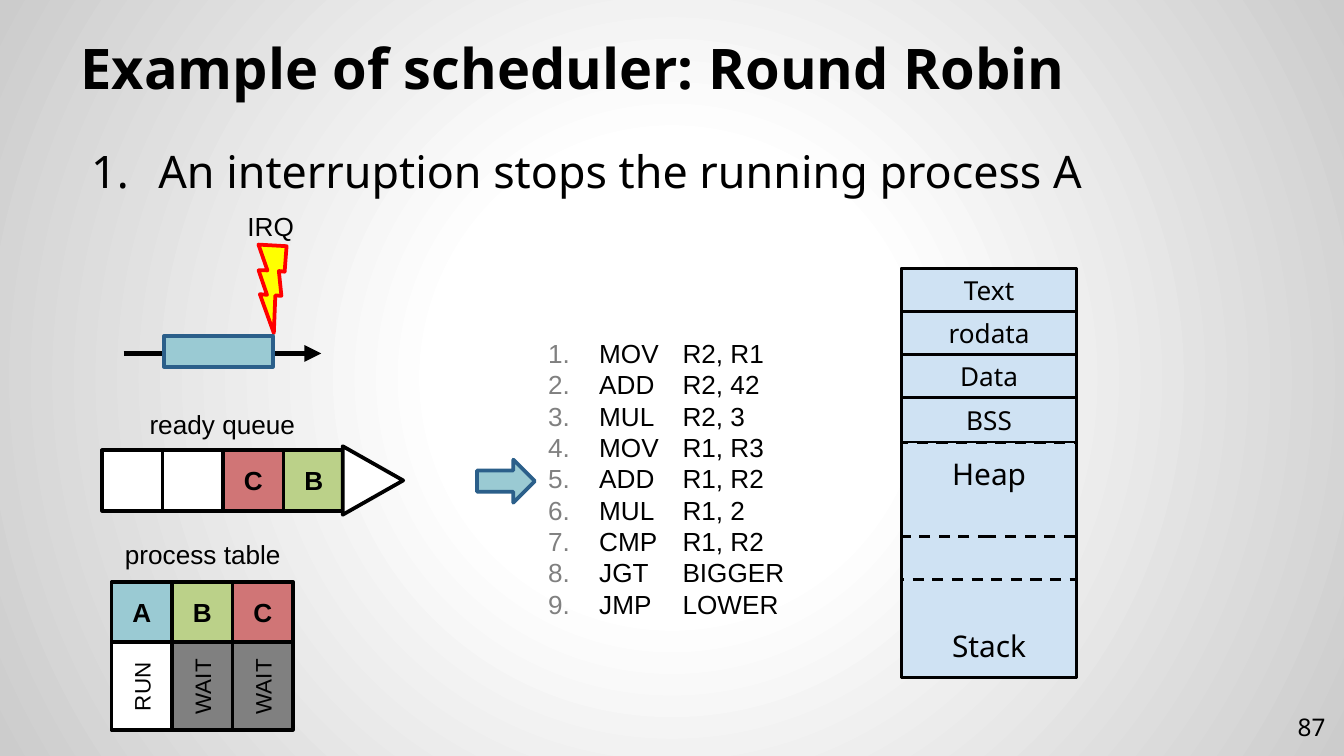
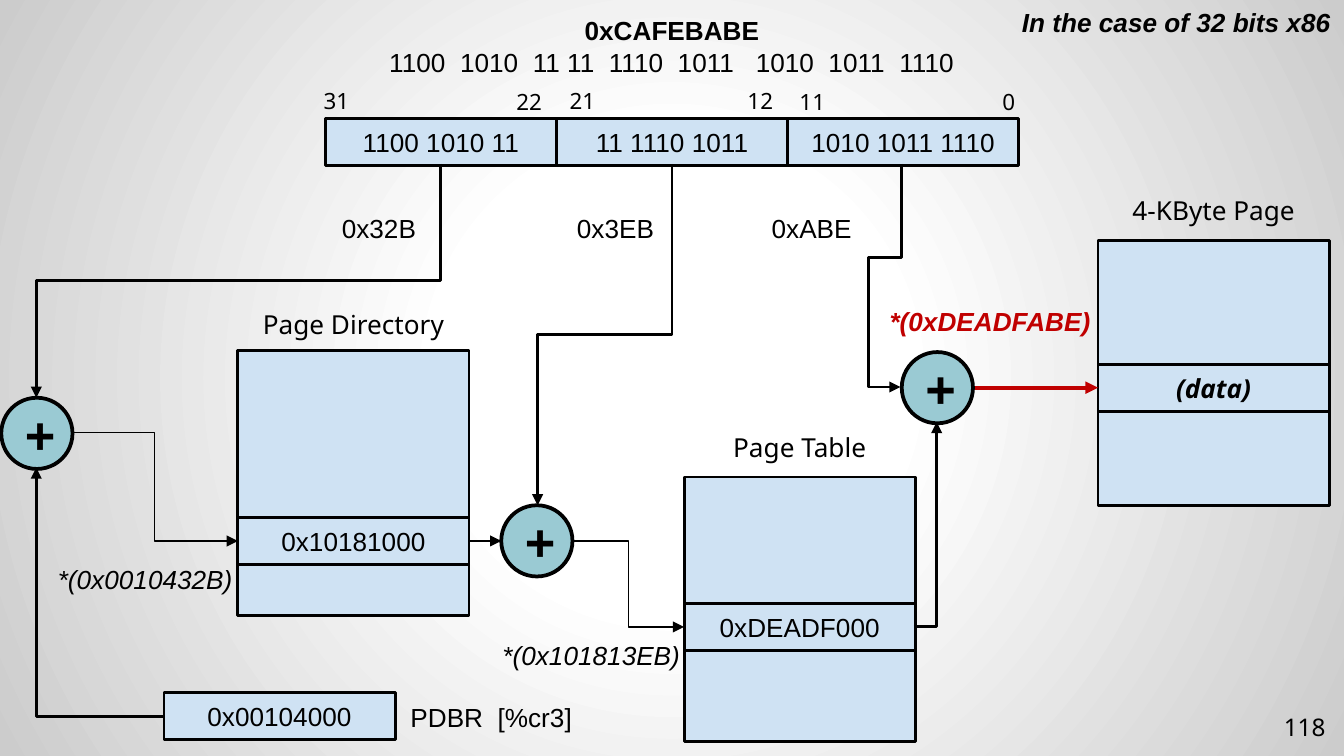
import pptx
import pptx.util
import pptx.oxml
import pptx.oxml.ns
import pptx.dml.color
import pptx.enum.dml
import pptx.enum.shapes
import pptx.enum.text

Inches = pptx.util.Inches
Pt = pptx.util.Pt
RGB = pptx.dml.color.RGBColor
qn = pptx.oxml.ns.qn
SHAPE = pptx.enum.shapes.MSO_SHAPE
CONNECTOR = pptx.enum.shapes.MSO_CONNECTOR
DASH = pptx.enum.dml.MSO_LINE.DASH
ALIGN = pptx.enum.text.PP_ALIGN
ANCHOR = pptx.enum.text.MSO_ANCHOR
GROW = pptx.enum.text.MSO_AUTO_SIZE.SHAPE_TO_FIT_TEXT

# Shared look
BLACK, WHITE = RGB(0, 0, 0), RGB(255, 255, 255)
GREY = RGB(0x80, 0x80, 0x80)
TEAL, TEAL_EDGE = RGB(0x9A, 0xCA, 0xD3), RGB(0x2B, 0x5F, 0x8A)
ROSE, GREEN = RGB(0xD0, 0x75, 0x76), RGB(0xBB, 0xD1, 0x89)
SKY = RGB(0xCF, 0xE2, 0xF3)
YELLOW, RED, DARK_RED = RGB(255, 255, 0), RGB(255, 0, 0), RGB(0xC0, 0, 0)
SANS, NOTO = "Arial", "Noto Sans"
NAMESPACE = pptx.oxml.ns.nsdecls("a")
BACKDROP = [(0, "FFFFFF"), (30000, "FFFFFF"), (100000, "CCCCCC")]
ALIGNS = {"l": ALIGN.LEFT, "c": ALIGN.CENTER, "r": ALIGN.RIGHT}

# Scheduler content
PROCESS_COLOURS = {"A": TEAL, "B": GREEN, "C": ROSE, "": WHITE}
READY_QUEUE = ["", "", "C", "B"]
PROCESS_TABLE = [("A", "RUN", WHITE), ("B", "WAIT", GREY), ("C", "WAIT", GREY)]
PROGRAM = ["MOV\tR2, R1", "ADD\tR2, 42", "MUL\tR2, 3", "MOV\tR1, R3", "ADD\tR1, R2",
           "MUL\tR1, 2", "CMP\tR1, R2", "JGT\tBIGGER", "JMP\tLOWER"]
SEGMENTS = [  # name, top, height, format
    ("Text", 2, 0.32, {}),
    ("rodata", 2.32, 0.32, {}),
    ("Data", 2.64, 0.32, {}),
    ("Heap", 3.29, 0.7, dict(size=16, dash=DASH, anchor=ANCHOR.TOP)),
    ("BSS", 2.96, 0.33, {}),
    ("Stack", 4.31, 0.73, dict(size=16, dash=DASH, anchor=ANCHOR.BOTTOM)),
]
CELL = 0.45

# Paging content
ADDRESS_FIELDS = ["1100 1010 11", "11 1110 1011", "1010 1011 1110"]
BIT_NUMBERS = [("31", 2.31, 0.6, "l"), ("22", 3.61, 0.61, "r"), ("21", 4.14, 0.6, "l"),
               ("12", 5.33, 0.6, "r"), ("11", 5.85, 0.61, "l"), ("0", 7.36, 0.61, "l")]
OFFSETS = [("0x32B", 2.39), ("0x3EB", 4.15), ("0xABE", 5.61)]
BLOCK_W, BLOCK_H, ENTRY_H = 1.72, 1.97, 0.35
BLOCKS = [  # title, title top, left, top, entry, entry top, entry format
    ("Page Directory", 2.21, 1.77, 2.61, "0x10181000", 3.85, {}),
    ("Page Table", 3.12, 5.09, 3.55, "0xDEADF000", 4.49, {}),
    ("4-KByte Page", 1.36, 8.17, 1.79, "(data)", 2.71, dict(font=NOTO, bold=True, italic=True)),
]
ADDERS = [(0.01, 2.96), (3.73, 3.76), (6.71, 2.62)]
ADDER_SIZE = 0.53


def write(shape, text, font=SANS, size=14, color=BLACK, bold=False, italic=False, align="c",
          anchor=ANCHOR.TOP, inset=0.05, indent=None, number_color=None, before=0):
    """Fill a shape with one paragraph per line; bold marks the first line only."""
    frame = shape.text_frame
    frame.word_wrap = True
    frame.vertical_anchor = anchor
    frame.margin_left = frame.margin_right = Inches(0.1)
    frame.margin_top = frame.margin_bottom = Inches(inset)
    for index, line in enumerate(text.split("\n")):
        para = frame.add_paragraph() if index else frame.paragraphs[0]
        para.alignment = ALIGNS[align]
        if before:
            para.space_before = Pt(before)
        span = para.add_run()
        span.text = line
        span.font.name, span.font.size = font, Pt(size)
        span.font.color.rgb = color
        span.font.bold = bold and index == 0
        span.font.italic = italic
        if indent:
            margin, first = indent
            props = para._p.get_or_add_pPr()
            props.set("marL", str(Inches(margin)))
            props.set("indent", str(Inches(first)))
            props.append(pptx.oxml.parse_xml(
                f'<a:buClr {NAMESPACE}><a:srgbClr val="{number_color}"/></a:buClr>'))
            props.append(pptx.oxml.parse_xml(
                f'<a:buAutoNum {NAMESPACE} type="arabicPeriod"/>'))


def label(page, text, x, y, w, h, grow=True, turn=0, **style):
    box = page.shapes.add_textbox(Inches(x), Inches(y), Inches(w), Inches(h))
    write(box, text, **style)
    if grow:
        box.text_frame.auto_size = GROW
    box.rotation = turn


def draw(page, kind, x, y, w, h, fill=None, edge=BLACK, weight=2, dash=None, turn=0,
         text="", **style):
    shape = page.shapes.add_shape(kind, Inches(x), Inches(y), Inches(w), Inches(h))
    shape.shadow.inherit = False
    shape.rotation = turn
    if fill is None:
        shape.fill.background()
    else:
        shape.fill.solid()
        shape.fill.fore_color.rgb = fill
    shape.line.color.rgb = edge
    shape.line.width = Pt(weight)
    if dash:
        shape.line.dash_style = dash
    if text:
        write(shape, text, **{"anchor": ANCHOR.MIDDLE, **style})
    return shape


def memory(page, x, y, w, h, text="", fill=SKY, **style):
    return draw(page, SHAPE.RECTANGLE, x, y, w, h, fill, weight=1.5, text=text, inset=0.1, **style)


def arrow(page, start, end, kind=CONNECTOR.STRAIGHT, color=BLACK, weight=1.5,
          downward=False, preset=None, bends=()):
    """Draw an arrow; a downward elbow leaves its start vertically and ends to the left."""
    (x1, y1), (x2, y2) = start, end
    if downward:
        mid_x, mid_y, half_w, half_h = (x1 + x2) / 2, (y1 + y2) / 2, (y2 - y1) / 2, (x1 - x2) / 2
        x1, y1, x2, y2 = mid_x - half_w, mid_y - half_h, mid_x + half_w, mid_y + half_h
    line = page.shapes.add_connector(kind, Inches(x1), Inches(y1), Inches(x2), Inches(y2))
    if downward:
        line.rotation = 90
    line.line.color.rgb = color
    line.line.width = Pt(weight)
    props = line.element.spPr
    geometry = props.find(qn("a:prstGeom"))
    if preset:
        geometry.set("prst", preset)
    guides = geometry.find(qn("a:avLst"))
    for index, bend in enumerate(bends, 1):
        guides.append(pptx.oxml.parse_xml(
            f'<a:gd {NAMESPACE} name="adj{index}" fmla="val {round(bend * 100000)}"/>'))
    props.find(qn("a:ln")).append(pptx.oxml.parse_xml(f'<a:tailEnd {NAMESPACE} type="triangle"/>'))
    props.append(pptx.oxml.parse_xml(f"<a:effectLst {NAMESPACE}/>"))
    return line


def new_page(deck, number):
    page = deck.slides.add_slide(deck.slide_layouts[6])
    page.background.fill.gradient()
    gradient = page.element.find(".//" + qn("a:gradFill"))
    stops = "".join(f'<a:gs pos="{pos}"><a:srgbClr val="{color}"/></a:gs>'
                    for pos, color in BACKDROP)
    gradient.getparent().replace(gradient, pptx.oxml.parse_xml(
        f'<a:gradFill {NAMESPACE} rotWithShape="1"><a:gsLst>{stops}</a:gsLst><a:path path="circle">'
        '<a:fillToRect l="50000" t="50000" r="50000" b="50000"/></a:path></a:gradFill>'))
    label(page, number, 9.36, 5.19, 0.6, 0.43, grow=False, font=NOTO, size=13, align="r",
          anchor=ANCHOR.MIDDLE, inset=0.1)
    return page


def build_scheduler(deck):
    page = new_page(deck, "87")
    label(page, "Example of scheduler: Round Robin", 0.5, 0.23, 9, 0.62, grow=False, font=NOTO,
          size=30, bold=True, align="l", anchor=ANCHOR.BOTTOM, inset=0.1)
    label(page, "An interruption stops the running process A", 0.5, 0.97, 9, 4.41, grow=False,
          font=NOTO, size=24, align="l", inset=0.1, indent=(0.58, -0.5), number_color=BLACK,
          before=6)

    # Interrupt on the time line
    draw(page, SHAPE.LIGHTNING_BOLT, 1.78, 1.81, 0.46, 0.59, YELLOW, RED, turn=33.7)
    label(page, "IRQ", 1.66, 1.52, 0.71, 0.34)
    arrow(page, (0.92, 2.63), (2.39, 2.63), weight=3)
    draw(page, SHAPE.RECTANGLE, 1.22, 2.5, 0.81, 0.23, TEAL, TEAL_EDGE)

    # Program listing
    label(page, "\n".join(PROGRAM), 3.98, 2.46, 2.29, 2.22, align="l", indent=(0.38, -0.38),
          number_color=GREY)
    draw(page, SHAPE.RIGHT_ARROW, 3.55, 3.42, 0.43, 0.32, TEAL, TEAL_EDGE)

    # Memory layout, framed on top of its segments
    left, top, width, height = 6.71, 2, 1.3, 3.04
    memory(page, left, top, width, height)
    for name, y, segment_h, style in SEGMENTS:
        memory(page, left, y, width, segment_h, name, font=NOTO, **style)
    memory(page, left, top, width, height, fill=None)

    # Ready queue
    for index, name in enumerate(READY_QUEUE):
        draw(page, SHAPE.RECTANGLE, 0.76 + index * CELL, 3.35, CELL, CELL, PROCESS_COLOURS[name],
             text=name, bold=True)
    draw(page, SHAPE.ISOSCELES_TRIANGLE, 2.52, 3.35, 0.51, CELL, WHITE, turn=90)
    label(page, "ready queue", 0.82, 2.99, 1.67, 0.34)

    # Process table
    label(page, "process table", 0.66, 3.96, 1.7, 0.34)
    for index, (name, state, shade) in enumerate(PROCESS_TABLE):
        x = 0.83 + index * CELL
        draw(page, SHAPE.RECTANGLE, x, 4.33, CELL, CELL, PROCESS_COLOURS[name], text=name,
             bold=True)
        draw(page, SHAPE.RECTANGLE, x, 4.78, CELL, 0.65, shade)
        label(page, state, x - 0.1, 4.96, 0.65, 0.3, turn=270, size=12)


def build_paging(deck):
    page = new_page(deck, "118")

    # Linear address and its bit fields
    label(page, "In the case of 32 bits x86", 7.46, 0, 2.54, 0.34, bold=True, italic=True,
          align="r")
    label(page, "0xCAFEBABE\n1100  1010  11 11  1110  1011   1010  1011  1110",
          2.42, 0.06, 5.16, 0.57, bold=True)
    for index, bits in enumerate(ADDRESS_FIELDS):
        memory(page, 2.42 + index * BLOCK_W, 0.88, BLOCK_W, ENTRY_H, bits)
    for number, x, y, align in BIT_NUMBERS:
        label(page, number, x, y, 0.52, 0.3, font=NOTO, size=12, align=align)
    for offset, x in OFFSETS:
        label(page, offset, x, 1.53, 0.86, 0.34)

    # Page directory base register
    memory(page, 1.22, 5.15, BLOCK_W, ENTRY_H, "0x00104000")
    label(page, "PDBR  [%cr3]", 2.94, 5.16, 1.43, 0.35, anchor=ANCHOR.MIDDLE)

    # Tables, each with the entry in use
    entries, middles = [], []
    for title, title_y, x, y, entry, entry_y, style in BLOCKS:
        memory(page, x, y, BLOCK_W, BLOCK_H)
        entries.append(memory(page, x, entry_y, BLOCK_W, ENTRY_H, entry, **style))
        middles.append(entry_y + ENTRY_H / 2)
        label(page, title, x, title_y, BLOCK_W, 0.42, grow=False, font=NOTO,
              anchor=ANCHOR.BOTTOM, inset=0.1)

    # Arrows into the adders and the tables
    elbow = CONNECTOR.ELBOW
    directory_y, table_y, data_y = middles
    arrow(page, (6.71, 1.22), (6.7, 2.88), elbow, downward=True, preset="bentConnector4",
          bends=(0.42, 25))
    arrow(page, (5, 1.22), (4, 3.76), elbow, downward=True)
    arrow(page, (3.28, 1.22), (0.27, 2.96), elbow, downward=True)
    arrow(page, (1.22, 5.33), (0.27, 3.48), elbow, preset="bentConnector2")
    arrow(page, (6.8, table_y), (6.97, 3.14), elbow, preset="bentConnector2")
    arrow(page, (0.53, 3.22), (1.77, directory_y), elbow, weight=0.75)
    arrow(page, (4.26, directory_y), (5.09, table_y), elbow, weight=0.75)
    to_adder = arrow(page, (3.48, directory_y), (3.73, directory_y))
    to_adder.begin_connect(entries[0], 3)
    to_data = arrow(page, (7.23, data_y), (8.17, data_y), color=DARK_RED, weight=2.25)
    to_data.end_connect(entries[2], 1)
    for x, y in ADDERS:
        draw(page, SHAPE.OVAL, x, y, ADDER_SIZE, ADDER_SIZE, TEAL, text="+", size=28, bold=True)

    # Addresses being read
    label(page, "*(0x0010432B)", 0.22, 4.14, 1.72, 0.35, italic=True)
    label(page, "*(0x101813EB)", 3.64, 4.71, 1.6, 0.34, italic=True, align="l")
    label(page, "*(0xDEADFABE)", 6.52, 2.22, 1.72, 0.34, color=DARK_RED, bold=True, italic=True,
          align="l")


def main():
    deck = pptx.Presentation()
    deck.slide_width, deck.slide_height = Inches(10), Inches(10 * 9 / 16)
    build_scheduler(deck)
    build_paging(deck)
    deck.save("out.pptx")


if __name__ == "__main__":
    main()
